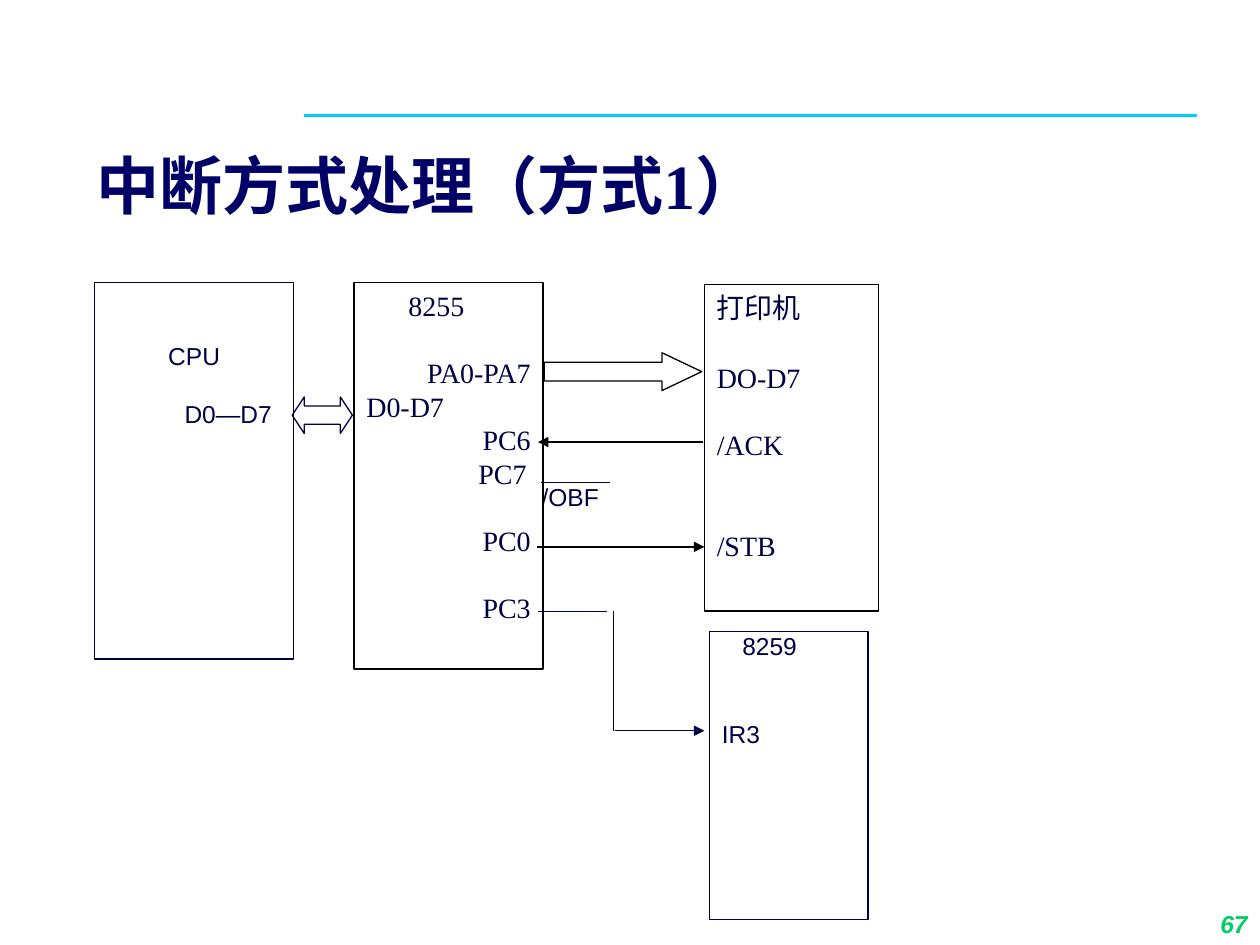
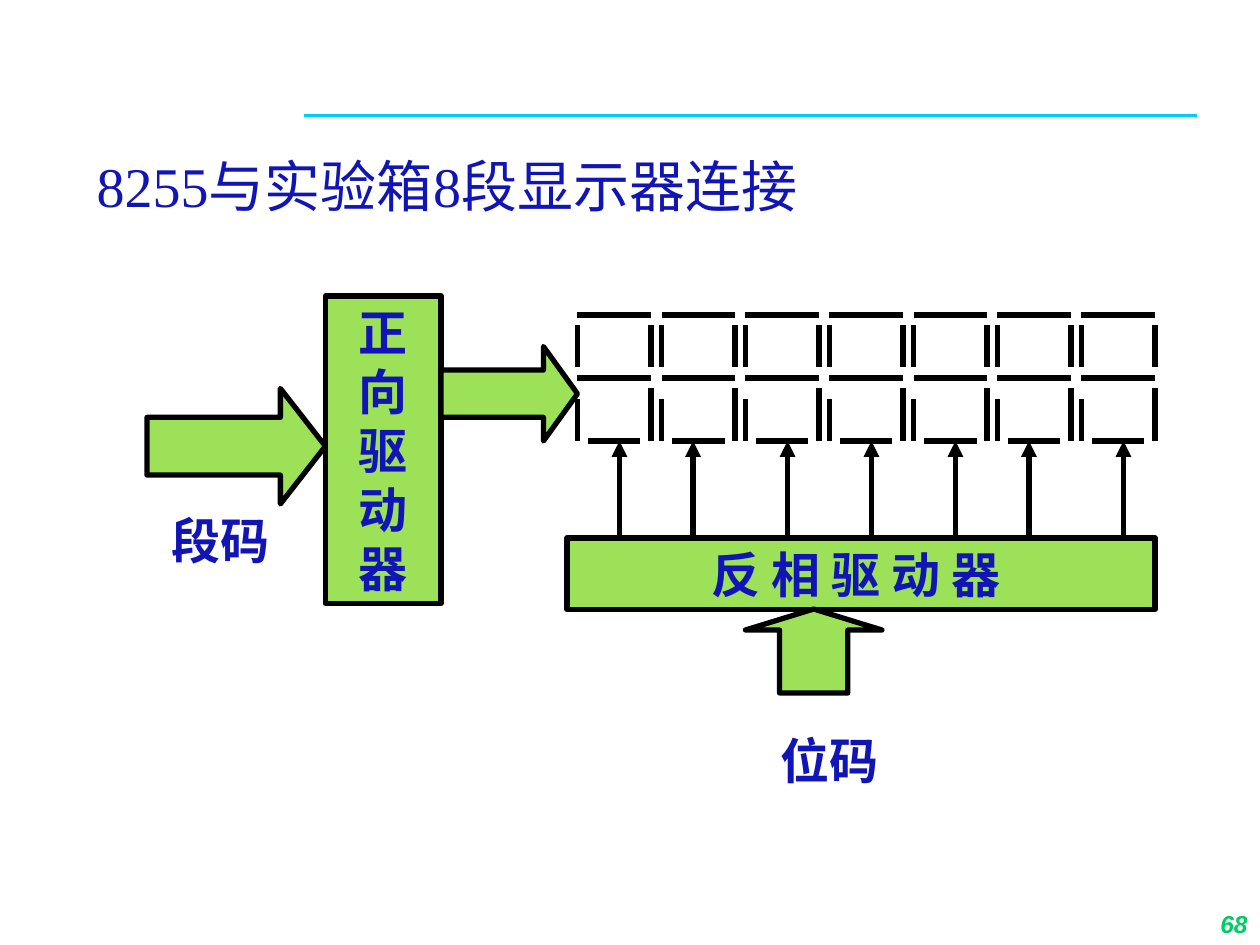
from dataclasses import dataclass
from typing import Optional

from lxml.etree import SubElement
from pptx import Presentation
from pptx.dml.color import RGBColor
from pptx.enum.shapes import MSO_CONNECTOR, MSO_SHAPE
from pptx.enum.text import MSO_ANCHOR, PP_ALIGN
from pptx.oxml.ns import qn
from pptx.util import Pt

BLACK, WHITE, GREEN = "000000", "FFFFFF", "9CE157"
INK, NAVY, BLUE = "000044", "000066", "1115B5"
CYAN, LIME = "00CCFF", "00CC66"
LEFT, MID, RIGHT = PP_ALIGN.LEFT, PP_ALIGN.CENTER, PP_ALIGN.RIGHT
TOP, CENTER, BASE = MSO_ANCHOR.TOP, MSO_ANCHOR.MIDDLE, MSO_ANCHOR.BOTTOM


@dataclass
class Style:
    font: str
    size: float
    color: str
    bold: bool = False
    italic: bool = False
    pitch: Optional[float] = None  # points when above 5, else a multiple


@dataclass
class Para:
    text: str
    align: PP_ALIGN = LEFT
    before: float = 0
    indent: float = 0


@dataclass
class Box:
    """A rectangle or arrow, or a bare text box when it has no kind."""
    left: float
    top: float
    width: float
    height: float
    kind: Optional[MSO_SHAPE] = None
    fill: Optional[str] = None
    line: str = BLACK
    weight: float = 0.75
    head: Optional[float] = None
    style: Optional[Style] = None
    paras: tuple = ()
    anchor: MSO_ANCHOR = TOP
    inset: tuple = (7.2, 3.6, 7.2, 3.6)
    wrap: bool = True


@dataclass
class Wire:
    x1: float
    y1: float
    x2: float
    y2: float
    color: str = BLACK
    weight: float = 0.75
    arrow: bool = False


SERIF = Style("Times New Roman", 16, INK, pitch=19.2)
SANS = Style("Arial", 14, INK, pitch=16.8)
STRONG = Style("Cabin", 28, BLUE, bold=True)
HEAD = Style("Times New Roman", 36, NAVY, bold=True, pitch=0.9)
PLAIN = Style("Times New Roman", 32, BLUE, pitch=0.9)
FOOT = Style("Arial", 14, LIME, bold=True, italic=True)


def rgb(code: str) -> RGBColor:
    return RGBColor.from_string(code)


def write(shape, box: Box) -> None:
    frame = shape.text_frame
    frame.word_wrap = box.wrap
    frame.vertical_anchor = box.anchor
    (frame.margin_left, frame.margin_top,
     frame.margin_right, frame.margin_bottom) = map(Pt, box.inset)
    style = box.style
    for i, para in enumerate(box.paras):
        p = frame.add_paragraph() if i else frame.paragraphs[0]
        p.text = para.text
        p.alignment = para.align
        if style.pitch:
            p.line_spacing = Pt(style.pitch) if style.pitch > 5 else style.pitch
        if para.before:
            p.space_before = Pt(para.before)
        if para.indent:
            p._p.get_or_add_pPr().set("marL", str(Pt(para.indent)))
        font = p.font
        font.name, font.size = style.font, Pt(style.size)
        font.bold, font.italic = style.bold, style.italic
        font.color.rgb = rgb(style.color)


def draw(slide, box: Box) -> None:
    area = map(Pt, (box.left, box.top, box.width, box.height))
    if box.kind is None:
        shape = slide.shapes.add_textbox(*area)
    else:
        shape = slide.shapes.add_shape(box.kind, *area)
        shape.shadow.inherit = False
        if box.fill:
            shape.fill.solid()
            shape.fill.fore_color.rgb = rgb(box.fill)
        else:
            shape.fill.background()
        shape.line.color.rgb = rgb(box.line)
        shape.line.width = Pt(box.weight)
        if box.head is not None:
            shape.adjustments[0] = 0.5
            shape.adjustments[1] = box.head
    if box.paras:
        write(shape, box)


def join(slide, wire: Wire) -> None:
    ends = map(Pt, (wire.x1, wire.y1, wire.x2, wire.y2))
    link = slide.shapes.add_connector(MSO_CONNECTOR.STRAIGHT, *ends)
    link.line.color.rgb = rgb(wire.color)
    link.line.width = Pt(wire.weight)
    props = link._element.spPr
    if wire.arrow:
        SubElement(props.find(qn("a:ln")), qn("a:tailEnd"), type="triangle")
    SubElement(props, qn("a:effectLst"))


def start(deck, title: str, style: Style, number: int):
    """Add a slide with the shared rule, title and page number."""
    slide = deck.slides.add_slide(deck.slide_layouts[6])
    join(slide, Wire(174, 66, 684, 66, CYAN, 2))
    draw(slide, Box(48.2, 66.2, 594, 83.5, style=style,
                    paras=(Para(title),), anchor=CENTER))
    draw(slide, Box(570.2, 504, 149.8, 36, style=FOOT,
                    paras=(Para(str(number), RIGHT),), anchor=BASE))
    return slide


def printer(deck) -> None:
    slide = start(deck, "中断方式处理（方式1）", HEAD, 67)
    rect = MSO_SHAPE.RECTANGLE
    gap = SERIF.pitch
    ports = (
        Para("8255", indent=24),
        Para("PA0-PA7", RIGHT, gap),
        Para("D0-D7"),
        Para("PC6", RIGHT),
        Para("PC7", indent=64),
        Para("PC0", RIGHT, gap),
        Para("PC3", RIGHT, gap),
    )
    pins = (Para("打印机"), Para("DO-D7", before=20.4),
            Para("/ACK", before=gap), Para("/STB", before=2 * gap))
    boxes = (
        Box(297.4, 275, 56.9, 17.3, style=SANS, paras=(Para("/OBF", MID),),
            anchor=CENTER, wrap=False),
        # Chips and printer
        Box(202.3, 161.3, 108, 221, rect, WHITE, style=SERIF, paras=ports),
        Box(402.5, 162.7, 99.4, 186.5, rect, WHITE, style=SERIF, paras=pins),
        Box(405.4, 360.7, 90.7, 164.9, rect, line=INK, style=SANS,
            paras=(Para("8259", indent=11.7), Para("IR3", before=33.5)),
            inset=(7.2, 0, 7.2, 0)),
        Box(54, 161.3, 113.8, 215.3, rect, line=INK, style=SANS,
            paras=(Para("CPU", MID), Para("D0—D7", MID, 16.8, 39)),
            inset=(7.2, 33.3, 7.2, 0)),
        # Data buses
        Box(311, 201.6, 90, 21.6, MSO_SHAPE.RIGHT_ARROW, WHITE, head=1.05),
        Box(167, 226.8, 34.4, 20.9, MSO_SHAPE.LEFT_RIGHT_ARROW, line=INK,
            head=0.33),
    )
    for box in boxes:
        draw(slide, box)
    # Handshake and interrupt lines
    wires = (
        Wire(306.7, 312.5, 402.5, 312.5, arrow=True),
        Wire(401.8, 252.6, 307.4, 252.6, arrow=True),
        Wire(308.9, 275.7, 348.5, 275.7, INK),
        Wire(307.4, 349.3, 347, 349.3, NAVY),
        Wire(350.6, 349.3, 350.6, 417.6, INK),
        Wire(351.4, 417.6, 402.5, 417.6, INK, arrow=True),
    )
    for wire in wires:
        join(slide, wire)


def digit(slide, x: float) -> None:
    """Draw the seven bars of one display digit."""
    end = x + 42
    bars = (
        (x, 180, end, 180), (x, 186, x, 210), (x, 216, end, 216),
        (end, 186, end, 210), (x, 228, x, 252), (x + 6, 252, end - 6, 252),
        (end, 222, end, 252),
    )
    for bar in bars:
        join(slide, Wire(*bar, weight=3))


def display(deck) -> None:
    slide = start(deck, "8255与实验箱8段显示器连接", PLAIN, 68)
    for i in range(7):
        digit(slide, 330 + 48 * i)
    # Captions
    for text, x, y in (("段码", 78, 288), ("位码", 426, 414)):
        draw(slide, Box(x, y, 96, 41, style=STRONG, paras=(Para(text, MID),)))
    # Drivers
    rect = MSO_SHAPE.RECTANGLE
    for text, area, right in (
        ("正向驱动器", (186, 169.2, 66, 175.7), 7.2),
        ("反 相 驱 动 器", (324, 307.4, 336, 41), 13.2),
    ):
        draw(slide, Box(*area, rect, GREEN, weight=3, style=STRONG,
                        paras=(Para(text, MID),), anchor=CENTER,
                        inset=(7.2, 3.6, right, 3.6)))
    # Code arrows
    for kind, area, head in (
        (MSO_SHAPE.RIGHT_ARROW, (252, 198, 78, 54), 0.36),
        (MSO_SHAPE.UP_ARROW, (426, 348, 78, 48), 0.25),
        (MSO_SHAPE.RIGHT_ARROW, (84, 222, 102, 66), 0.39),
    ):
        draw(slide, Box(*area, kind, GREEN, weight=3, head=head))
    # Digit select lines
    for x in (354, 396, 450, 498, 546, 588, 642):
        join(slide, Wire(x, 306, x, 252, weight=3, arrow=True))


def main() -> None:
    deck = Presentation()
    deck.slide_width, deck.slide_height = Pt(720), Pt(540)
    printer(deck)
    display(deck)
    deck.save("out.pptx")


if __name__ == "__main__":
    main()
